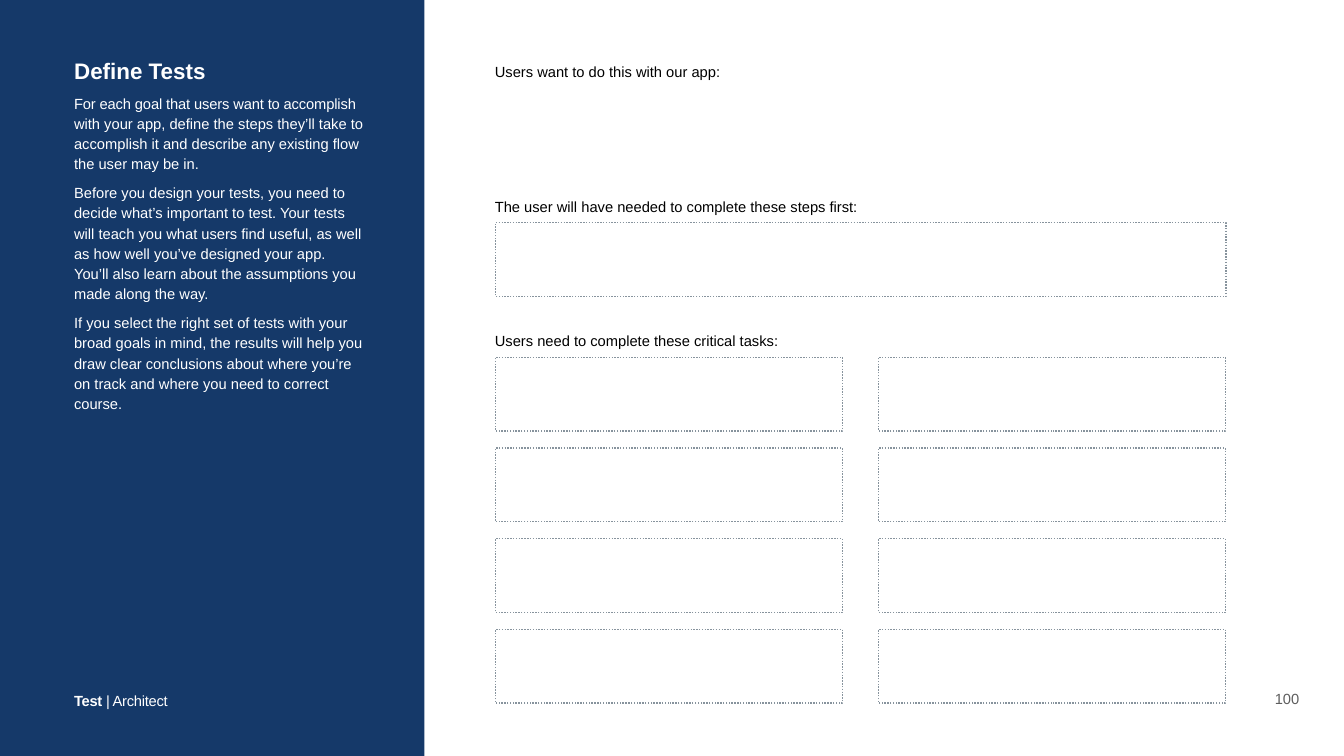
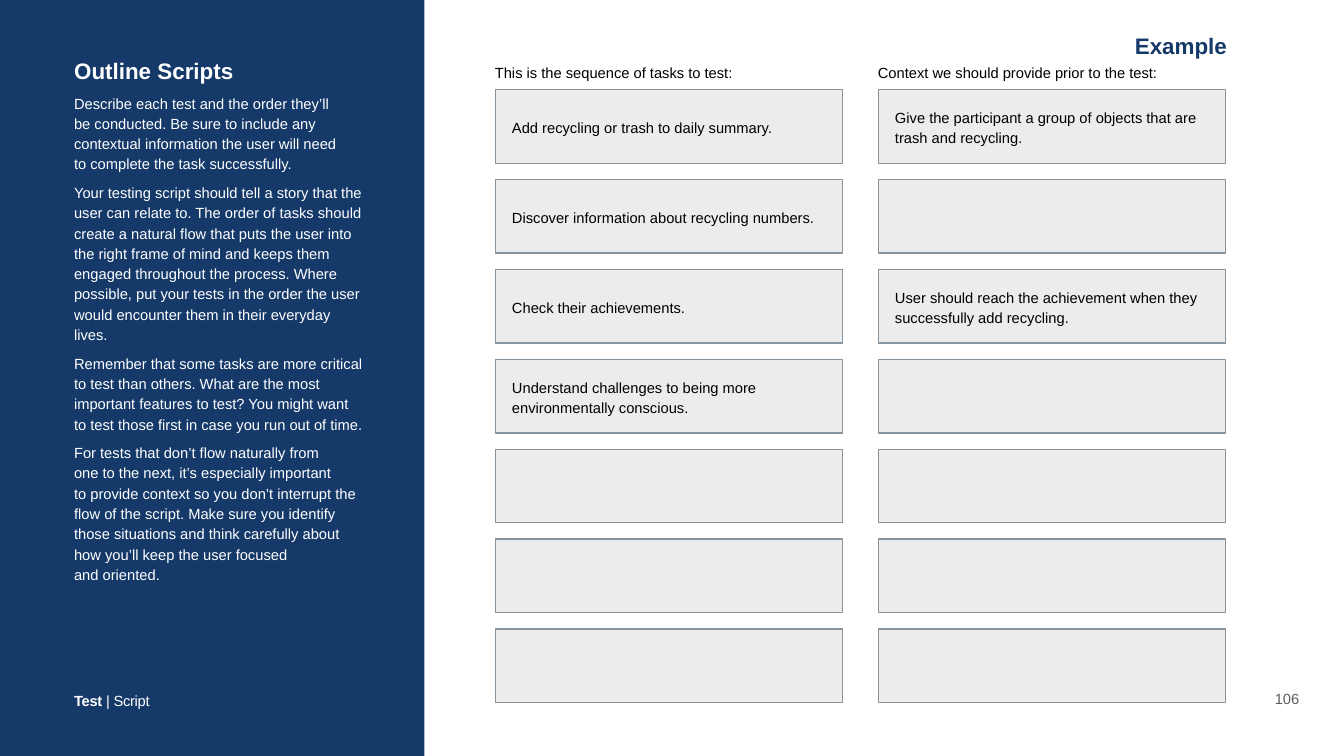
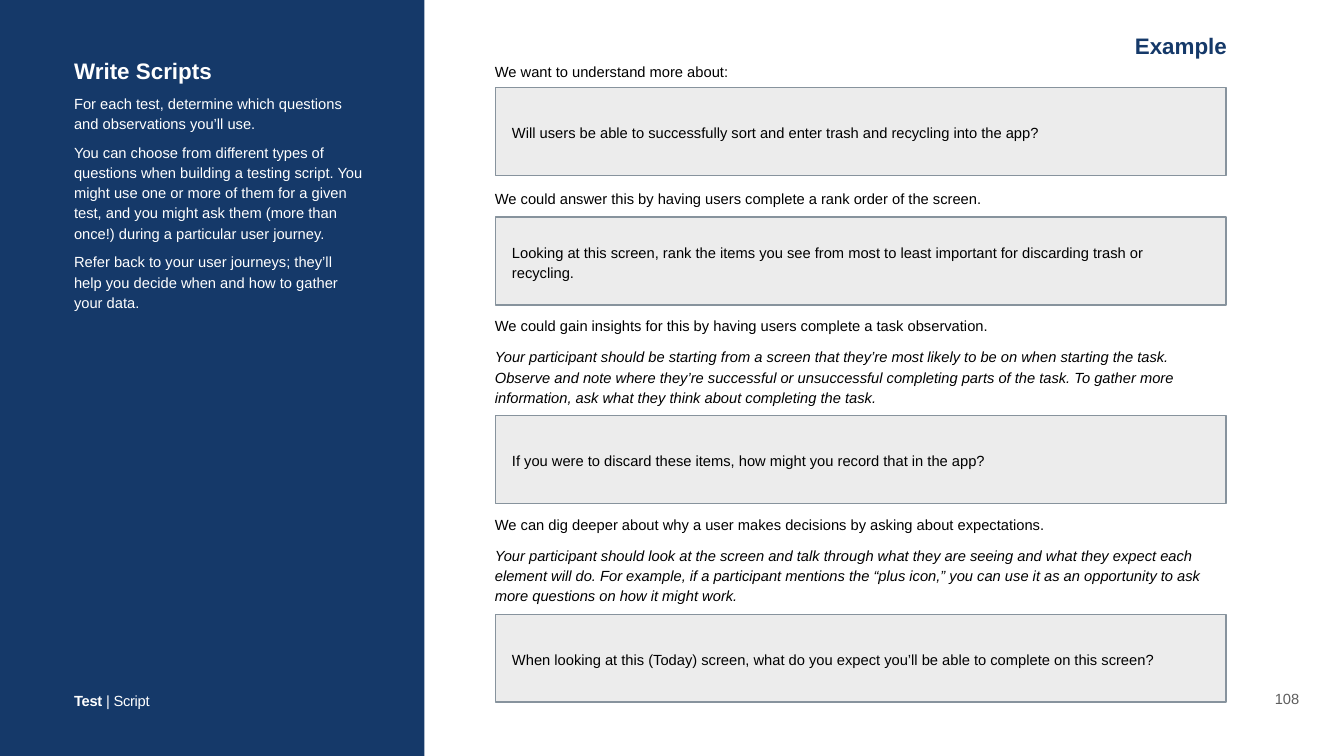
from lxml import etree
from pptx import Presentation
from pptx.dml.color import RGBColor
from pptx.enum.dml import MSO_LINE_DASH_STYLE as Dash
from pptx.enum.shapes import MSO_SHAPE as Shape
from pptx.enum.text import MSO_ANCHOR as Anchor, MSO_AUTO_SIZE as AutoSize, PP_ALIGN as Align
from pptx.oxml.ns import qn
from pptx.util import Inches, Pt

rgb = RGBColor.from_string
NAVY, WHITE, BLACK = "153969", "FFFFFF", "000000"
SLATE, SILVER, GREY = "87939D", "D5D5D5", "5E5E5E"
FONT = "Arial"
BODY_SIZE, HEADING_SIZE = 21, 32
LINE_SPACING = 1.15

LABEL_LEFT, BOX_LEFT = 9.76, 9.83
COLUMN_STEP, COLUMN_WIDTH, FULL_WIDTH = 7.6, 6.89, 14.5
LABEL_WIDTH, LABEL_HEIGHT, BOX_HEIGHT = 14.06, 0.45, 1.46
QUESTION_HEIGHT = 1.74


def write_text(shape, paragraphs, size=BODY_SIZE, color=BLACK, inset=0.06, anchor=Anchor.MIDDLE,
               align=Align.LEFT, spacing=LINE_SPACING, before=0, wrap=True, fit=AutoSize.SHAPE_TO_FIT_TEXT):
    """Fill a shape; each paragraph is a list of (text, style) runs, and a newline is a line break."""
    frame = shape.text_frame
    frame.word_wrap, frame.auto_size, frame.vertical_anchor = wrap, fit, anchor
    frame.margin_left = frame.margin_right = frame.margin_top = frame.margin_bottom = Inches(inset)
    for index, runs in enumerate(paragraphs):
        paragraph = frame.add_paragraph() if index else frame.paragraphs[0]
        paragraph.alignment, paragraph.line_spacing = align, spacing
        paragraph.space_before = Pt(before if index else 0)
        for text, style in runs:
            for line_number, line in enumerate(text.split("\n")):
                if line_number:
                    paragraph.add_line_break()
                run = paragraph.add_run()
                run.text = line
                run.font.name, run.font.size = FONT, Pt(size)
                run.font.color.rgb = rgb(color)
                run.font.bold, run.font.italic = style.get("bold", False), style.get("italic", False)
                if "tracking" in style:
                    run.font._element.set("spc", str(style["tracking"]))


def add_box(slide, left, top, width, height, text="", dotted=False):
    """Add an answer box: dotted and white when blank to fill in, else translucent grey."""
    box = slide.shapes.add_shape(Shape.RECTANGLE, Inches(left), Inches(top), Inches(width), Inches(height))
    box.shadow.inherit = False
    box.fill.solid()
    box.fill.fore_color.rgb = rgb(WHITE if dotted else SILVER)
    box.line.color.rgb = rgb(SLATE)
    box.line.width = Pt(2)
    if dotted:
        box.line.dash_style = Dash.ROUND_DOT
    else:
        fill_color = box.element.spPr.find(qn("a:solidFill"))[0]
        etree.SubElement(fill_color, qn("a:alpha"), val="44000")
    if text:
        write_text(box, [[(text, {})]], inset=0.33, fit=AutoSize.NONE)


presentation = Presentation()
presentation.slide_width, presentation.slide_height = Inches(26.67), Inches(15)
title_only = presentation.slide_layouts[5]

# Title, section, page number, whether it is an example, sidebar height, sidebar paragraphs
pages = [
    ("Define Tests", "Architect", "100", False, 6.2, [
        [("For each goal that users want to accomplish ", {"tracking": -20}),
         ("with your app, define the steps they’ll take to accomplish it and describe any existing "
          "flow the user may be in.", {})],
        [("Before you design your tests, you need to decide what’s important to test. Your tests will "
          "teach you what users find useful, as well as how well you’ve designed your app. You’ll also "
          "learn about the assumptions you made along the way.", {})],
        [("If you select the right set of tests with your broad goals in mind, the results will help "
          "you draw clear conclusions about where you’re on track and where you need to correct "
          "course.", {})],
    ]),
    ("Outline Scripts", "Script", "106", True, 9.8, [
        [("Describe each test and the order they’ll \nbe conducted. Be sure to include any contextual "
          "information the user will need \nto complete the task successfully.", {})],
        [("Your testing script should tell a story that the user can relate to. The order of tasks "
          "should create a natural flow that puts the user into the right frame of mind and keeps them "
          "engaged throughout the process. Where possible, put your tests in the order the user would "
          "encounter them in their everyday lives.", {})],
        [("Remember that some tasks are more critical to test than others. What are the most important "
          "features to test? You might want to test those first in case you run out of time.", {})],
        [("For tests that don’t flow naturally from \none to the next, it’s especially important\n"
          "to provide context so you don’t interrupt the flow of the script. Make sure you identify "
          "those situations and think carefully about how you’ll keep the user focused\n"
          "and oriented.", {})],
    ]),
    ("Write Scripts", "Script", "108", True, 4.3, [
        [("For each test, determine which questions and observations you’ll use.", {})],
        [("You can choose from different types of questions when building a testing script. You might "
          "use one or more of them for a given test, and you might ask them (more than once!) during a "
          "particular user journey.", {})],
        [("Refer back to your user journeys; they’ll help you decide when and how to gather your "
          "data.", {})],
    ]),
]

slides = [presentation.slides.add_slide(title_only) for page in pages]

# The navy panel belongs to the layout, behind everything
panel = slides[0].shapes.add_shape(Shape.RECTANGLE, Inches(-0.01), Inches(-0.01), Inches(8.43), Inches(15.02))
panel.shadow.inherit = False
panel.fill.solid()
panel.fill.fore_color.rgb = rgb(NAVY)
panel.line.fill.background()
title_only.shapes.element.insert(2, panel.element)

# Sidebar, footer, page number and example tag
for slide, (heading, section, number, is_example, height, sidebar) in zip(slides, pages):
    title = slide.shapes.title
    title.left, title.top, title.width, title.height = Inches(1.39), Inches(1.06), Inches(5.9), Inches(0.68)
    write_text(title, [[(heading, {"bold": True})]], size=HEADING_SIZE, color=WHITE, inset=0.08,
               anchor=Anchor.TOP, spacing=1, fit=AutoSize.NONE)
    body = slide.shapes.add_textbox(Inches(1.39), Inches(1.74), Inches(5.9), Inches(height))
    write_text(body, sidebar, color=WHITE, inset=0.08, anchor=Anchor.TOP, before=12)
    footer_width = 2.04 if section == "Architect" else 1.67
    footer = slide.shapes.add_textbox(Inches(1.39), Inches(13.58), Inches(footer_width), Inches(0.51))
    write_text(footer, [[("Test", {"bold": True, "tracking": -40}), (f" | {section}", {"tracking": -40})]],
               color=WHITE, inset=0.08, anchor=Anchor.TOP, spacing=1.2, wrap=False)
    page_number = slide.shapes.add_textbox(Inches(25.21), Inches(13.61), Inches(0.66), Inches(0.5))
    write_text(page_number, [[(number, {})]], color=GREY, inset=0.08, anchor=Anchor.BOTTOM,
               align=Align.CENTER, spacing=1, wrap=False)
    if is_example:
        tag = slide.shapes.add_textbox(Inches(22.44), Inches(0.56), Inches(2), Inches(0.69))
        write_text(tag, [[("Example", {"bold": True})]], size=HEADING_SIZE, color=NAVY, inset=0.08,
                   spacing=1, wrap=False)

define_slide, outline_slide, write_slide = slides

# Define Tests: worksheet to fill in
for top, text in [
    (1.16, "Users want to do this with our app:"),
    (3.84, "The user will have needed to complete these steps first:"),
    (6.51, "Users need to complete these critical tasks:"),
]:
    label = define_slide.shapes.add_textbox(Inches(LABEL_LEFT), Inches(top), Inches(LABEL_WIDTH), Inches(LABEL_HEIGHT))
    write_text(label, [[(text, {})]])
add_box(define_slide, BOX_LEFT, 4.42, FULL_WIDTH, BOX_HEIGHT, dotted=True)
for column in range(2):
    for row in range(4):
        add_box(define_slide, BOX_LEFT + column * COLUMN_STEP, 7.09 + row * 1.8, COLUMN_WIDTH, BOX_HEIGHT, dotted=True)

# Outline Scripts: tasks beside their context
script_columns = [
    ("This is the sequence of tasks to test:", [
        "Add recycling or trash to daily summary.",
        "Discover information about recycling numbers.",
        "Check their achievements.",
        "Understand challenges to being more environmentally conscious.",
        "", "", "",
    ]),
    ("Context we should provide prior to the test:", [
        "Give the participant a group of objects that are trash and recycling.",
        "",
        "User should reach the achievement when they successfully add recycling.",
        "", "", "", "",
    ]),
]
first_top, last_top = 1.78, 12.48
for column, (caption, entries) in enumerate(script_columns):
    offset = column * COLUMN_STEP
    label = outline_slide.shapes.add_textbox(Inches(LABEL_LEFT + offset), Inches(1.19), Inches(7.25), Inches(LABEL_HEIGHT))
    write_text(label, [[(caption, {})]])
    row_step = (last_top - first_top) / (len(entries) - 1)
    for row, entry in enumerate(entries):
        add_box(outline_slide, BOX_LEFT + offset, first_top + row * row_step, COLUMN_WIDTH, BOX_HEIGHT, entry)

# Write Scripts: label position, width, height and anchor, then label, guidance, box top and question
questions = [
    (1.16, LABEL_WIDTH, LABEL_HEIGHT, Anchor.MIDDLE, "We want to understand more about:", "",
     1.74, "Will users be able to successfully sort and enter trash and recycling into the app?"),
    (3.73, LABEL_WIDTH, LABEL_HEIGHT, Anchor.BOTTOM,
     "We could answer this by having users complete a rank order of the screen.", "",
     4.31, "Looking at this screen, rank the items you see from most to least important for discarding "
     "trash or recycling."),
    (6.32, 14.52, 1.8, Anchor.BOTTOM,
     "We could gain insights for this by having users complete a task observation.",
     "Your participant should be starting from a screen that they’re most likely to be on when starting "
     "the task. Observe and note where they’re successful or unsuccessful completing parts of the task. "
     "To gather more information, ask what they think about completing the task.",
     8.25, "If you were to discard these items, how might you record that in the app?"),
    (10.26, 14.64, 1.8, Anchor.BOTTOM,
     "We can dig deeper about why a user makes decisions by asking about expectations.",
     "Your participant should look at the screen and talk through what they are seeing and what they "
     "expect each element will do. For example, if a participant mentions the “plus icon,” you can use "
     "it as an opportunity to ask more questions on how it might work.",
     12.19, "When looking at this (Today) screen, what do you expect you’ll be able to complete on this "
     "screen?"),
]
for top, width, height, anchor, text, guidance, box_top, question in questions:
    label = write_slide.shapes.add_textbox(Inches(LABEL_LEFT), Inches(top), Inches(width), Inches(height))
    paragraphs = [[(text, {})]]
    if guidance:
        paragraphs.append([(guidance, {"italic": True})])
    write_text(label, paragraphs, anchor=anchor, before=15)
    add_box(write_slide, BOX_LEFT, box_top, FULL_WIDTH, QUESTION_HEIGHT, question)

presentation.save("out.pptx")
